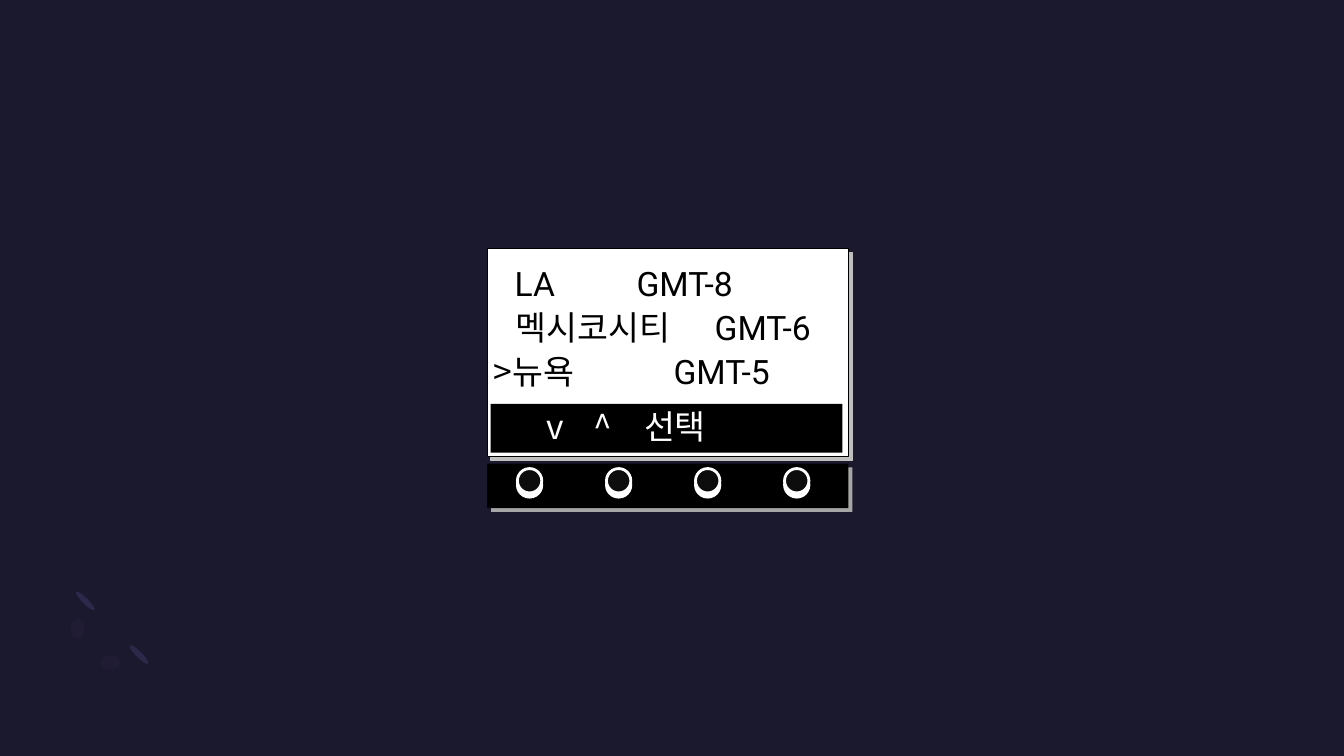
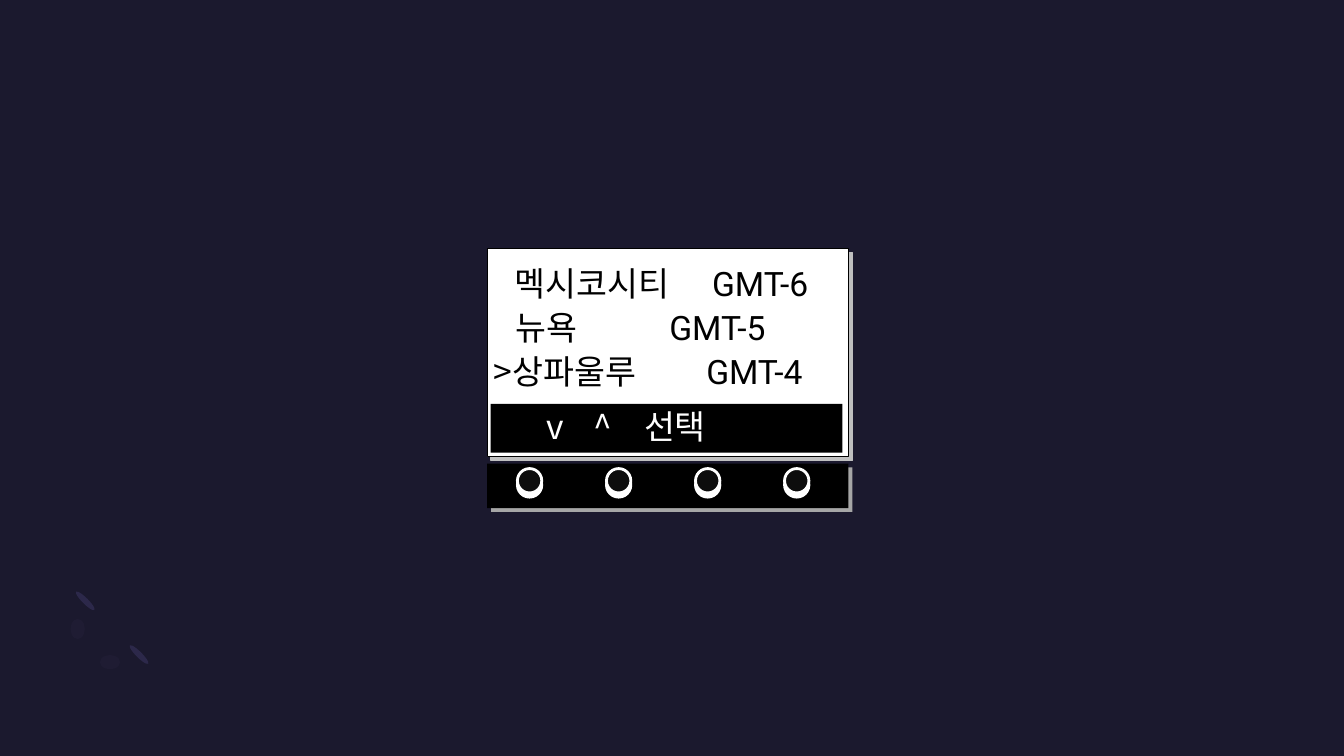
import dataclasses
import typing

import pptx
import pptx.dml.color
import pptx.enum.shapes
import pptx.oxml
import pptx.oxml.ns
import pptx.util

RGB = pptx.dml.color.RGBColor
KIND = pptx.enum.shapes.MSO_SHAPE

# Colours and fonts
NIGHT = RGB(0x1B, 0x19, 0x2E)
STREAK = RGB(0x2C, 0x28, 0x4A)
HAZE = RGB(0x1F, 0x1C, 0x33)
WHITE = RGB(0xFF, 0xFF, 0xFF)
BLACK = RGB(0x00, 0x00, 0x00)
KNOB = RGB(0x0D, 0x0D, 0x0D)
SILVER = RGB(0xBF, 0xBF, 0xBF)
GREY = RGB(0xA6, 0xA6, 0xA6)
HANGUL = "Noto Sans CJK KR"
LATIN = "Roboto"
SIZE = pptx.util.Pt(24)

# Slide grid: 160 columns by 90 rows of square cells
WIDE = pptx.util.Inches(13.33)
HIGH = pptx.util.Inches(7.5)
COLS = 160


def cell(count: float) -> int:
    return round(WIDE * count / COLS)


@dataclasses.dataclass(frozen=True)
class Box:
    left: float
    top: float
    width: float
    height: float


@dataclasses.dataclass(frozen=True)
class Shade:
    color: RGB
    dist: float
    angle: int


@dataclasses.dataclass(frozen=True)
class Part:
    kind: KIND
    box: Box
    fill: RGB
    line: typing.Optional[RGB] = None
    weight: float = 1
    turn: float = 0
    shade: typing.Optional[Shade] = None


@dataclasses.dataclass(frozen=True)
class Row:
    name: str
    zone: str
    stops: tuple[float, ...]


# Backdrop marks
MARKS = [
    Part(KIND.OVAL, Box(16.2, 76.4, 0.7, 3.1), STREAK, turn=135),
    Part(KIND.OVAL, Box(9.8, 70, 0.7, 3.1), STREAK, turn=135),
    Part(KIND.OVAL, Box(8.4, 73.7, 1.7, 2.4), HAZE),
    Part(KIND.OVAL, Box(11.9, 78, 2.4, 1.7), HAZE),
]

# Display panel, menu bar and button strip
DEVICE = [
    Part(KIND.RECTANGLE, Box(58, 29.6, 43, 24.8), WHITE, BLACK,
         shade=Shade(SILVER, 4, 45)),
    Part(KIND.RECTANGLE, Box(58.4, 48.1, 41.9, 5.8), BLACK),
    Part(KIND.RECTANGLE, Box(58, 55.2, 43, 5.3), BLACK,
         shade=Shade(GREY, 4, 45)),
]
KNOBS = [
    Part(KIND.OVAL, Box(61.6 + 10.6 * step, 55.8, 2.9, 2.9), KNOB, WHITE, 2,
         shade=Shade(WHITE, 3, 90))
    for step in range(4)
]

# Text lines
LEFTS = (59.2, 59.3, 57.6)
TOP, PITCH = 30.7, 5.23
MENU = Row("\tv\t^\t선택", "", (6.2, 11.8, 17.8))
MENU_BOX = Box(57.7, 47.8, 43.2, 6)

SCREENS = [
    [
        Row(" ", "LA\tGMT-8", (15.4,)),
        Row(" 멕시코시티", "\tGMT-6", (24.6,)),
        Row(">뉴욕", "\tGMT-5", (21.4,)),
    ],
    [
        Row(" 멕시코시티", "\tGMT-6", (24.4,)),
        Row(" 뉴욕", "\tGMT-5", (19.2,)),
        Row(">상파울루", "\tGMT-4", (25.3,)),
    ],
]


def cast(shape, shade: Shade) -> None:
    """Give the shape a hard offset shadow."""
    props = shape.element.spPr
    for old in props.findall(pptx.oxml.ns.qn("a:effectLst")):
        props.remove(old)
    props.append(pptx.oxml.parse_xml(
        f'<a:effectLst {pptx.oxml.ns.nsdecls("a")}>'
        f'<a:outerShdw blurRad="0" dist="{pptx.util.Pt(shade.dist)}" '
        f'dir="{shade.angle * 60000}" algn="tl" rotWithShape="0">'
        f'<a:srgbClr val="{shade.color}"/></a:outerShdw></a:effectLst>'))


def draw(slide, part: Part) -> None:
    box = part.box
    shape = slide.shapes.add_shape(
        part.kind, cell(box.left), cell(box.top),
        cell(box.width), cell(box.height))
    shape.rotation = part.turn
    shape.fill.solid()
    shape.fill.fore_color.rgb = part.fill
    if part.line is None:
        shape.line.fill.background()
    else:
        shape.line.color.rgb = part.line
        shape.line.width = pptx.util.Pt(part.weight)
    shape.shadow.inherit = False
    if part.shade:
        cast(shape, part.shade)


def style(run, face: str, color: RGB) -> None:
    run.font.size = SIZE
    run.font.color.rgb = color
    run.font.name = face
    east = pptx.oxml.parse_xml(
        f'<a:ea {pptx.oxml.ns.nsdecls("a")} typeface="{HANGUL}"/>')
    run.font.latin = None
    run._r.get_or_add_rPr().append(east)


def write(slide, row: Row, box: Box, color: RGB) -> None:
    """Write one display line, with its columns set by tab stops."""
    frame = slide.shapes.add_textbox(
        cell(box.left), cell(box.top),
        cell(box.width), cell(box.height)).text_frame
    frame.word_wrap = True
    para = frame.paragraphs[0]
    stops = "".join(
        f'<a:tab pos="{cell(stop)}" algn="l"/>' for stop in row.stops)
    para._p.get_or_add_pPr().append(pptx.oxml.parse_xml(
        f'<a:tabLst {pptx.oxml.ns.nsdecls("a")}>{stops}</a:tabLst>'))
    for text, face in ((row.name, HANGUL), (row.zone, LATIN)):
        if text:
            run = para.add_run()
            run.text = text
            style(run, face, color)


def build(deck, rows: list[Row]) -> None:
    slide = deck.slides.add_slide(deck.slide_layouts[6])
    for part in MARKS + DEVICE + KNOBS:
        draw(slide, part)
    write(slide, MENU, MENU_BOX, WHITE)
    for index, (row, left) in enumerate(zip(rows, LEFTS)):
        write(slide, row, Box(left, TOP + PITCH * index, 43.2, 6), BLACK)


def main() -> None:
    deck = pptx.Presentation()
    deck.slide_width, deck.slide_height = WIDE, HIGH
    back = deck.slide_master.background.fill
    back.solid()
    back.fore_color.rgb = NIGHT
    for rows in SCREENS:
        build(deck, rows)
    deck.save("out.pptx")


if __name__ == "__main__":
    main()
